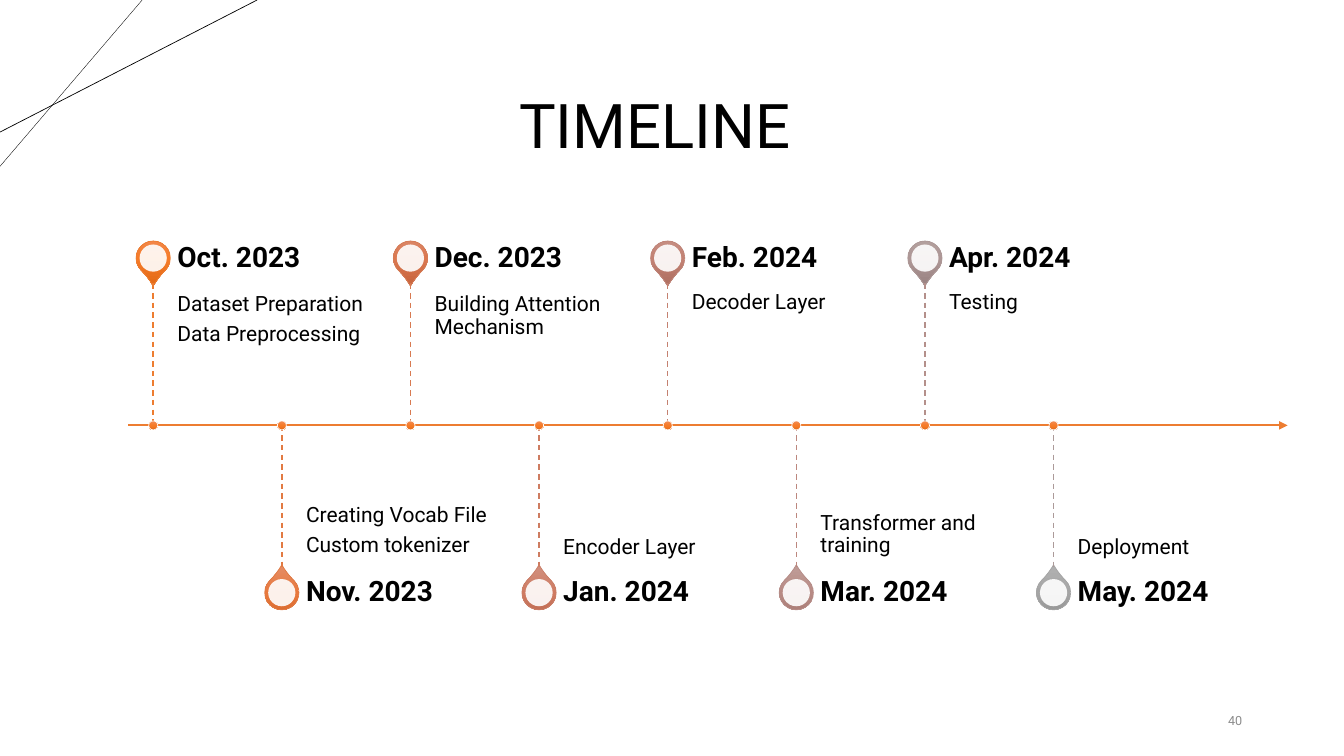
"""Build the project timeline slide on a grid of 100 columns by 100 rows."""
import copy
from dataclasses import dataclass

import pptx
import pptx.dml.color
import pptx.enum.dml
import pptx.enum.shapes
import pptx.enum.text
import pptx.oxml.ns
import pptx.oxml.xmlchemy
import pptx.shapes.autoshape
import pptx.shapes.connector
import pptx.slide
import pptx.util

COLUMN = 13.33 / 100
ROW = 7.5 / 100
ROWS_TO_COLUMNS = ROW / COLUMN
FONT = "Roboto"

FIRST_COLUMN, COLUMN_STEP = 11.4, 9.57
AXIS_ROW, STEM_ROWS, PIN_ROWS = 56.27, 18.8, 22.13
HEADING_ROWS, TEXT_COLUMNS, TEXT_GAP = 6.53, 15.6, 1.8
PIN_SIZE, HOLE_SIZE, DOT_SIZE = 4.53, 3.6, 1.2

COLOURS = {
    "ink": "000000", "paper": "FFFFFF", "number": "8C8C8C", "axis": "ED7D31",
    "oct light": "F18C57", "oct": "F67B28", "oct dark": "E56C19", "oct edge": "ED7D31", "oct stem": "ED7D31",
    "nov light": "E58A61", "nov": "E8783C", "nov dark": "D7682C", "nov edge": "E07A44", "nov stem": "E27A42",
    "dec light": "DA8A6E", "dec": "DB7850", "dec dark": "CA673F", "dec edge": "D57B56", "dec stem": "D87A51",
    "jan light": "D08D7B", "jan": "CF7B62", "jan dark": "BD6B52", "jan edge": "CA7E67", "jan stem": "CE7C61",
    "feb light": "C79288", "feb": "C38274", "feb dark": "B17163", "feb edge": "BF8478", "feb stem": "C48170",
    "mar light": "BE9A95", "mar": "B88B85", "mar dark": "A67A74", "mar edge": "B68D88", "mar stem": "BC877E",
    "apr light": "B6A4A2", "apr": "AE9796", "apr dark": "9C8584", "apr edge": "AD9897", "apr stem": "B4908B",
    "may light": "AFAFAF", "may": "A5A5A5", "may dark": "939393", "may edge": "A5A5A5", "may stem": "AC9A99",
}

Shape = pptx.enum.shapes.MSO_SHAPE
Anchor = pptx.enum.text.MSO_ANCHOR
Align = pptx.enum.text.PP_ALIGN


@dataclass(frozen=True)
class Milestone:
    month: str
    tasks: tuple[str, ...]

    @property
    def tint(self) -> str:
        return self.month[:3].lower()


@dataclass(frozen=True)
class Frame:
    left: float
    top: float
    width: float
    height: float

    def place(self) -> tuple[pptx.util.Length, ...]:
        return columns(self.left), rows(self.top), columns(self.width), rows(self.height)


@dataclass(frozen=True)
class Style:
    size: float
    colour: str = "ink"
    bold: bool = False
    anchor: Anchor = Anchor.MIDDLE
    align: Align = Align.LEFT
    line_spacing: float = 0.9
    space_after: float = 6
    insets: tuple[float, float, float, float] = (0.75, 0.67, 0.75, 0.67)


MILESTONES = (
    Milestone("Oct. 2023", ("Dataset Preparation", "Data Preprocessing")),
    Milestone("Nov. 2023", ("Creating Vocab File", "Custom tokenizer")),
    Milestone("Dec. 2023", ("Building Attention Mechanism",)),
    Milestone("Jan. 2024", ("Encoder Layer",)),
    Milestone("Feb. 2024", ("Decoder Layer",)),
    Milestone("Mar. 2024", ("Transformer and training",)),
    Milestone("Apr. 2024", ("Testing",)),
    Milestone("May. 2024", ("Deployment",)),
)
TITLE = Style(44)
NUMBER = Style(9, "number", align=Align.RIGHT, line_spacing=1.0)
HEADING = Style(20, bold=True, space_after=7, insets=(0, 0, 1.05, 0))
TASKS_ABOVE = Style(15, anchor=Anchor.TOP, space_after=5.25, insets=(0, 1.33, 0.75, 2.13))
TASKS_BELOW = Style(15, anchor=Anchor.BOTTOM, space_after=5.25, insets=(0, 2.13, 0, 1.33))


def columns(count: float) -> pptx.util.Length:
    return pptx.util.Inches(count * COLUMN)


def rows(count: float) -> pptx.util.Length:
    return pptx.util.Inches(count * ROW)


def colour(name: str) -> pptx.dml.color.RGBColor:
    return pptx.dml.color.RGBColor.from_string(COLOURS[name])


def add_text(page: pptx.slide.Slide, frame: Frame, lines: tuple[str, ...], style: Style) -> None:
    box = page.shapes.add_textbox(*frame.place()).text_frame
    box.word_wrap = True
    box.vertical_anchor = style.anchor
    left, top, right, bottom = style.insets
    box.margin_left, box.margin_right = columns(left), columns(right)
    box.margin_top, box.margin_bottom = rows(top), rows(bottom)
    for index, line in enumerate(lines):
        para = box.add_paragraph() if index else box.paragraphs[0]
        para.alignment = style.align
        para.line_spacing = style.line_spacing
        para.space_after = pptx.util.Pt(style.space_after)
        span = para.add_run()
        span.text = line
        span.font.name = FONT
        span.font.size = pptx.util.Pt(style.size)
        span.font.bold = style.bold
        span.font.color.rgb = colour(style.colour)


def add_line(page: pptx.slide.Slide, start: tuple[float, float], end: tuple[float, float],
             ink: str, weight: float) -> pptx.shapes.connector.Connector:
    line = page.shapes.add_connector(
        pptx.enum.shapes.MSO_CONNECTOR.STRAIGHT,
        columns(start[0]), rows(start[1]), columns(end[0]), rows(end[1]))
    line.line.color.rgb = colour(ink)
    line.line.width = pptx.util.Pt(weight)
    line._element.spPr.append(pptx.oxml.xmlchemy.OxmlElement("a:effectLst"))
    return line


def add_round(page: pptx.slide.Slide, kind: Shape, column: float, row: float,
              size: float) -> pptx.shapes.autoshape.Shape:
    width = size * ROWS_TO_COLUMNS
    frame = Frame(column - width / 2, row - size / 2, width, size)
    shape = page.shapes.add_shape(kind, *frame.place())
    shape.shadow.inherit = False
    return shape


def shade(shape: pptx.shapes.autoshape.Shape, tint: str, edge: str) -> None:
    shape.fill.gradient()
    shape.fill.gradient_angle = 270
    gradient = shape._element.spPr.find(pptx.oxml.ns.qn("a:gradFill"))
    gradient.set("rotWithShape", "0")
    stop_list = gradient.find(pptx.oxml.ns.qn("a:gsLst"))
    stop_list.append(copy.deepcopy(stop_list[0]))
    names = (f"{tint} light", tint, f"{tint} dark")
    for stop, name, position in zip(shape.fill.gradient_stops, names, (0.0, 0.5, 1.0)):
        stop.color.rgb = colour(name)
        stop.position = position
    shape.line.color.rgb = colour(edge)
    shape.line.width = pptx.util.Pt(0.5)


def add_milestone(page: pptx.slide.Slide, index: int, milestone: Milestone) -> None:
    above = index % 2 == 0
    side = -1 if above else 1
    column = FIRST_COLUMN + index * COLUMN_STEP
    pin_row = AXIS_ROW + side * PIN_ROWS
    stem_end = AXIS_ROW + side * STEM_ROWS
    stem_top, stem_bottom = sorted((AXIS_ROW, stem_end))

    pin = add_round(page, Shape.TEAR, column, pin_row, PIN_SIZE)
    pin.adjustments[0] = 1.15
    pin.rotation = 135 if above else 315
    shade(pin, milestone.tint, f"{milestone.tint} edge")

    hole = add_round(page, Shape.OVAL, column, pin_row, HOLE_SIZE)
    hole.fill.solid()
    hole.fill.fore_color.rgb = colour("paper")
    alpha = pptx.oxml.xmlchemy.OxmlElement("a:alpha")
    alpha.set("val", "90000")
    hole._element.spPr.find(".//" + pptx.oxml.ns.qn("a:srgbClr")).append(alpha)
    hole.line.fill.background()

    left = column + TEXT_GAP
    add_text(page, Frame(left, stem_top, TEXT_COLUMNS, STEM_ROWS),
             milestone.tasks, TASKS_ABOVE if above else TASKS_BELOW)
    heading_top = stem_end - HEADING_ROWS if above else stem_end
    add_text(page, Frame(left, heading_top, TEXT_COLUMNS, HEADING_ROWS), (milestone.month,), HEADING)

    stem = add_line(page, (column, stem_top), (column, stem_bottom), f"{milestone.tint} stem", 1)
    stem.line.dash_style = pptx.enum.dml.MSO_LINE.DASH
    shade(add_round(page, Shape.OVAL, column, AXIS_ROW, DOT_SIZE), "oct", "paper")


def main() -> None:
    deck = pptx.Presentation()
    deck.slide_width, deck.slide_height = columns(100), rows(100)
    page = deck.slides.add_slide(deck.slide_layouts[6])
    add_line(page, (10.58, 0), (0, 22), "ink", 0.25)
    add_line(page, (19.13, 0), (0, 17.47), "ink", 0.5)
    add_text(page, Frame(85.07, 92.67, 8.1, 5.33), ("40",), NUMBER)
    axis = add_line(page, (9.53, AXIS_ROW), (95.8, AXIS_ROW), "axis", 1.5)
    arrow = pptx.oxml.xmlchemy.OxmlElement("a:tailEnd")
    arrow.set("type", "triangle")
    axis._element.spPr.find(pptx.oxml.ns.qn("a:ln")).append(arrow)
    for index, milestone in enumerate(MILESTONES):
        add_milestone(page, index, milestone)
    add_text(page, Frame(37.88, 7.33, 38.63, 19.33), ("TIMELINE",), TITLE)
    deck.save("out.pptx")


if __name__ == "__main__":
    main()
